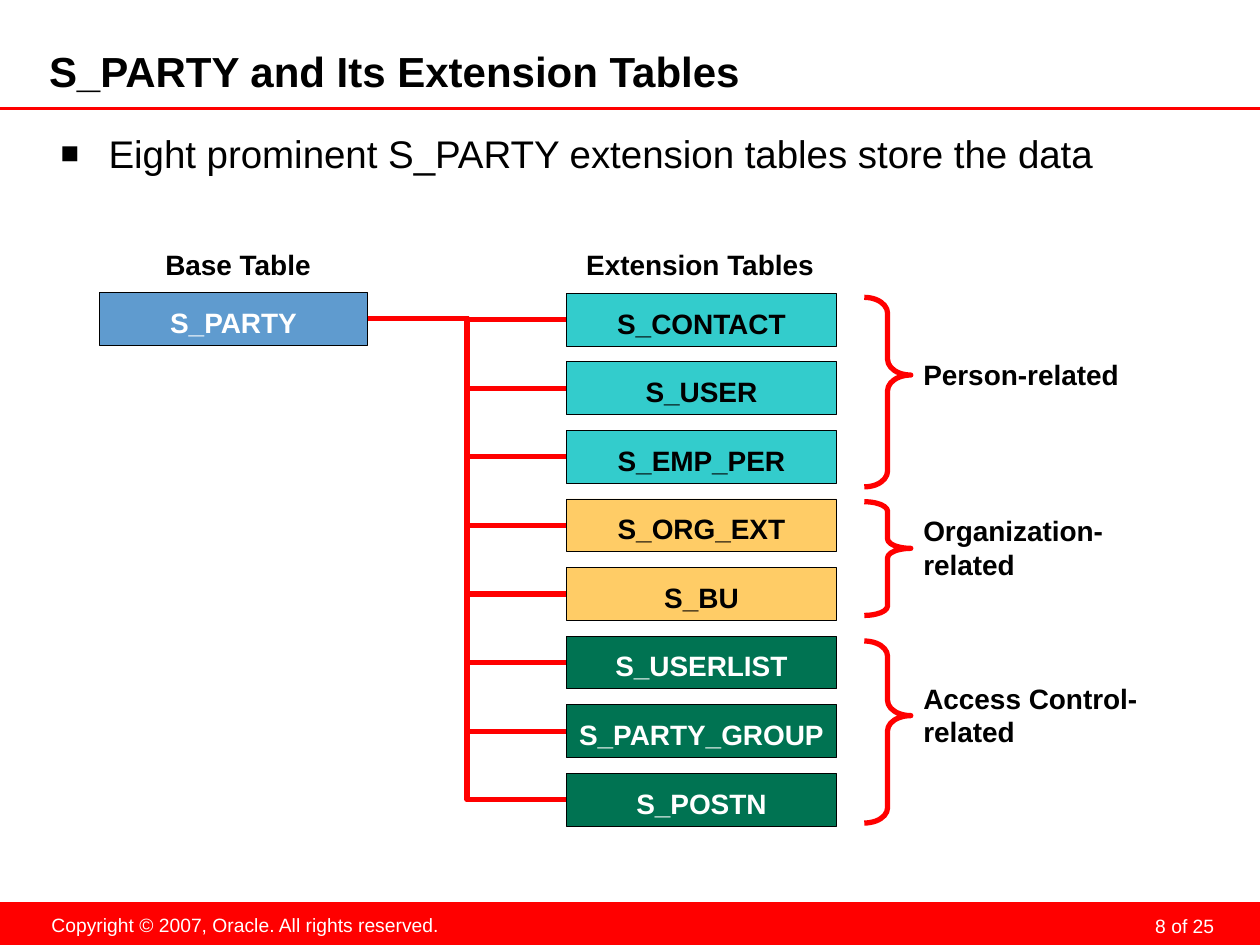
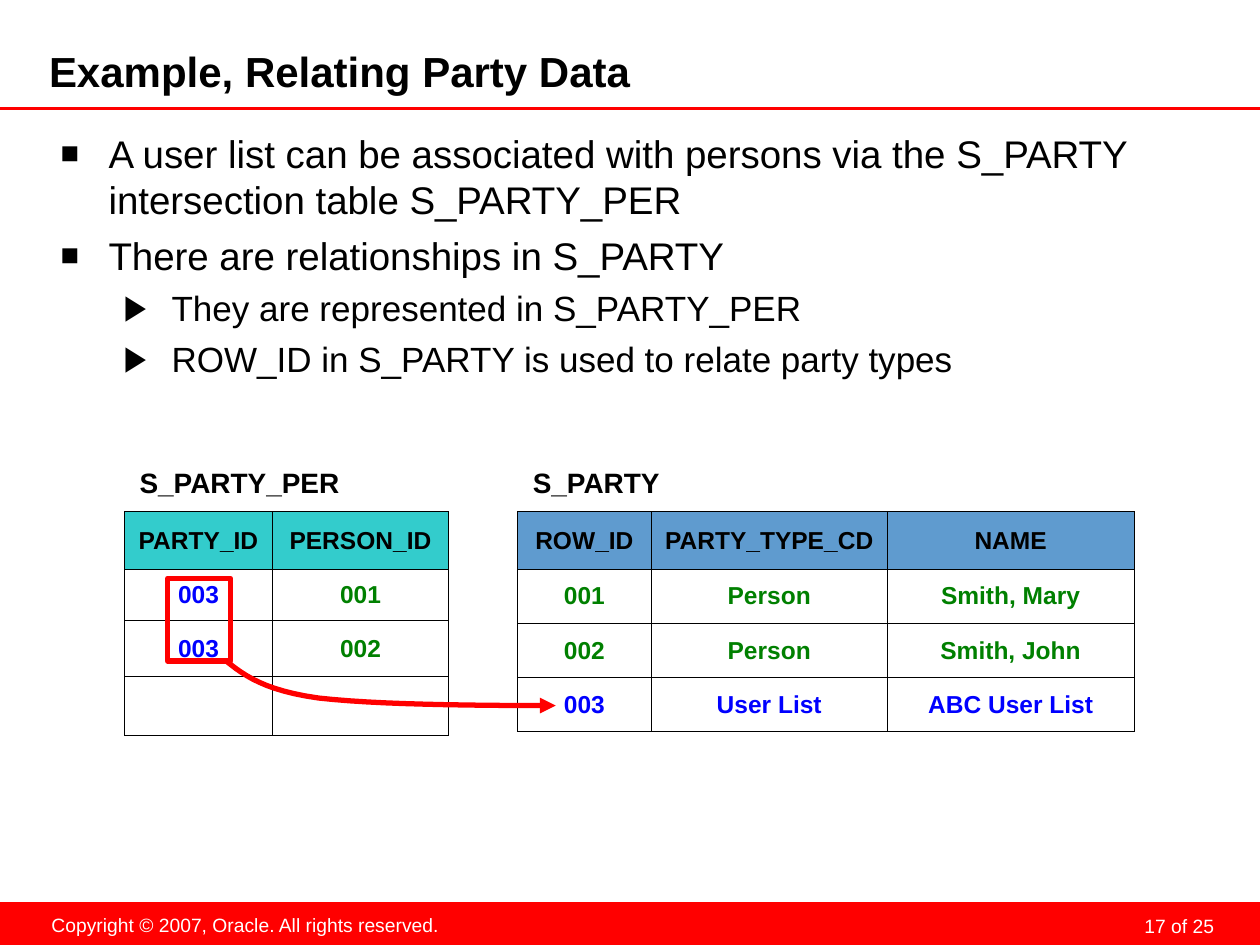
from lxml import etree
from pptx import Presentation
from pptx import util as u
from pptx.dml.color import RGBColor
from pptx.enum import shapes, text
from pptx.oxml.ns import qn

Pt = u.Pt
FONT = "Arial"
RED, BLACK, WHITE = "FF0000", "000000", "FFFFFF"
BLUE, TEAL, AMBER, GREEN = "5F9BCF", "33CCCC", "FFCC66", "007352"
ID_BLUE, PERSON_GREEN = "0000FF", "008000"
LEFT, CENTER, RIGHT = text.PP_ALIGN.LEFT, text.PP_ALIGN.CENTER, text.PP_ALIGN.RIGHT
TOP, MIDDLE, BOTTOM = (text.MSO_ANCHOR.TOP, text.MSO_ANCHOR.MIDDLE,
                       text.MSO_ANCHOR.BOTTOM)
INSETS = (7.2, 3.6, 7.2, 3.6)

# Bullet per level: character, size in percent, left margin, size, space before
BULLETS = [("■", 80, 27.4, 22, 5.5), ("▶", 100, 63.4, 20, 5)]
HANGING = 27.4


def rgb(value):
    return RGBColor.from_string(value)


def child(parent, tag, **attributes):
    return etree.SubElement(parent, qn(tag), attributes)


# Text
def style(para, size, color=BLACK, bold=False, align=LEFT):
    para.alignment = align
    font = para.font
    font.name, font.size, font.bold = FONT, Pt(size), bold
    font.color.rgb = rgb(color)


def set_frame(frame, anchor=TOP, insets=INSETS):
    frame.word_wrap = True
    frame.auto_size = text.MSO_AUTO_SIZE.NONE
    frame.vertical_anchor = anchor
    (frame.margin_left, frame.margin_top,
     frame.margin_right, frame.margin_bottom) = map(Pt, insets)


def place(shape, left, top, width, height):
    shape.left, shape.top, shape.width, shape.height = map(
        Pt, (left, top, width, height))


def add_label(page, words, at, size=16, color=BLACK, bold=True, align=LEFT,
              anchor=TOP, insets=INSETS):
    box = page.shapes.add_textbox(*map(Pt, at))
    set_frame(box.text_frame, anchor, insets)
    para = box.text_frame.paragraphs[0]
    para.text = words
    style(para, size, color, bold, align)
    return para


def add_bullet(para, level):
    char, percent, margin, size, _ = BULLETS[level]
    para.level = level
    props = para._p.get_or_add_pPr()
    props.set("marL", str(Pt(margin)))
    props.set("indent", str(-Pt(HANGING)))
    child(child(props, "a:buClr"), "a:srgbClr", val=BLACK)
    child(props, "a:buSzPct", val=str(percent * 1000))
    child(props, "a:buFont", typeface=FONT)
    child(props, "a:buChar", char=char)
    style(para, size)


# Shapes and lines
def add_preset(page, kind, at, fill=None, line=BLACK, weight=0.5):
    shape = page.shapes.add_shape(kind, *map(Pt, at))
    finish(shape, fill, line, weight)
    return shape


def finish(shape, fill, line, weight):
    shape.shadow.inherit = False
    if fill:
        shape.fill.solid()
        shape.fill.fore_color.rgb = rgb(fill)
    else:
        shape.fill.background()
    if line:
        shape.line.color.rgb = rgb(line)
        shape.line.width = Pt(weight)
    else:
        shape.line.fill.background()


def add_table_box(page, name, at, fill, color):
    box = add_preset(page, shapes.MSO_SHAPE.RECTANGLE, at, fill)
    set_frame(box.text_frame, MIDDLE, (3.6, 7.2, 3.6, 3.6))
    para = box.text_frame.paragraphs[0]
    para.text = name
    style(para, 16, color, True, CENTER)
    return box


def add_line(page, kind, weight, start=(0, 0), end=(0, 0)):
    line = page.shapes.add_connector(kind, *map(Pt, start + end))
    line.line.color.rgb = rgb(RED)
    line.line.width = Pt(weight)
    child(line._element.spPr, "a:effectLst")
    return line


def add_brace(page, top, height, label):
    left, width, tip = 493.9, 26.6, 0.41
    brace = add_preset(page, shapes.MSO_SHAPE.RIGHT_BRACE,
                       (left, top, width, height), line=RED, weight=3)
    brace.adjustments[0] = height / 12 / width
    brace.adjustments[1] = tip
    middle = top + tip * height
    add_label(page, label, (left + width, middle - 23, 154, 45), anchor=MIDDLE)


def bezier(points, steps=12):
    for step in range(1, steps + 1):
        t = step / steps
        weights = ((1 - t) ** 3, 3 * t * (1 - t) ** 2, 3 * t * t * (1 - t), t ** 3)
        yield tuple(Pt(sum(w * p[axis] for w, p in zip(weights, points)))
                    for axis in (0, 1))


def add_curved_arrow(page, points):
    builder = page.shapes.build_freeform(*map(Pt, points[0]), scale=1.0)
    for first in range(0, len(points) - 1, 3):
        builder.add_line_segments(bezier(points[first:first + 4]), close=False)
    arrow = builder.convert_to_shape()
    finish(arrow, None, RED, 3)
    child(arrow.line._get_or_add_ln(), "a:tailEnd", type="triangle")


# Tables
def add_borders(cell):
    props = cell._tc.get_or_add_tcPr()
    for index, side in enumerate(("a:lnL", "a:lnR", "a:lnT", "a:lnB")):
        line = child(props, side, w=str(Pt(0.45)))
        child(child(line, "a:solidFill"), "a:srgbClr", val=BLACK)
        props.insert(index, line)


def add_grid(page, left, top, widths, heights, header_fill, rows, color_of):
    table = page.shapes.add_table(
        len(heights), len(widths), Pt(left), Pt(top),
        Pt(sum(widths)), Pt(sum(heights))).table
    table.first_row = table.horz_banding = False
    for column, width in zip(table.columns, widths):
        column.width = Pt(width)
    for r, (height, row) in enumerate(zip(heights, rows)):
        table.rows[r].height = Pt(height)
        for c, words in enumerate(row):
            cell = table.cell(r, c)
            cell.vertical_anchor = MIDDLE
            para = cell.text_frame.paragraphs[0]
            para.text = words
            style(para, 14, color_of(r, c), True, CENTER)
            if r == 0:
                cell.fill.solid()
                cell.fill.fore_color.rgb = rgb(header_fill)
            else:
                cell.fill.background()
            add_borders(cell)


# Shared page: footer band, title with rule, bullet list
def add_page(deck, title, number, bullets):
    page = deck.slides.add_slide(deck.slide_layouts[1])
    add_preset(page, shapes.MSO_SHAPE.RECTANGLE, (0, 515.5, 720, 24.5), RED, None)
    para = add_label(page, number, (530, 517.7, 167.5, 18), 11, WHITE, False, RIGHT,
                     insets=(3.6, 0, 3.6, 0))
    para.line_spacing = Pt(18)
    add_label(page, "Copyright © 2007, Oracle. All rights reserved.",
              (22.3, 518.4, 250, 21), 11, WHITE, False)
    add_line(page, shapes.MSO_CONNECTOR.STRAIGHT, 1.75, (0, 62), (720, 62))

    heading, body = page.placeholders
    place(heading, 28, 27.4, 567, 29)
    set_frame(heading.text_frame, MIDDLE, (0, 0, 3.6, 3.6))
    heading.text_frame.text = title
    style(heading.text_frame.paragraphs[0], 24, bold=True)

    place(body, 27.4, 67, 670, 442)
    frame = body.text_frame
    set_frame(frame, insets=(7.2, 7.2, 7.2, 3.6))
    for index, (level, words) in enumerate(bullets):
        para = frame.add_paragraph() if index else frame.paragraphs[0]
        para.text = words
        para.space_before = Pt(BULLETS[level][4] if index else 0)
        add_bullet(para, level)
    return page


def add_extension_slide(deck):
    page = add_page(deck, "S_PARTY and Its Extension Tables", "8 of 25",
                    [(0, "Eight prominent S_PARTY extension tables store the data")])
    base = add_table_box(page, "S_PARTY", (56.7, 167.1, 153.5, 30.2), BLUE, WHITE)
    add_label(page, "Base Table", (62, 119, 148, 45), align=CENTER, anchor=BOTTOM)
    add_label(page, "Extension Tables", (326, 119, 148, 45),
              align=CENTER, anchor=BOTTOM)

    # Extension tables by group, each group with its brace
    groups = [
        ("Person-related", TEAL, BLACK, 169.9, 108.3,
         ["S_CONTACT", "S_USER", "S_EMP_PER"]),
        ("Organization-related", AMBER, BLACK, 286.7, 65, ["S_ORG_EXT", "S_BU"]),
        ("Access Control-related", GREEN, WHITE, 366.3, 104,
         ["S_USERLIST", "S_PARTY_GROUP", "S_POSTN"]),
    ]
    first_top, pitch = 167.6, 39.18
    extensions = []
    for label, fill, color, brace_top, brace_height, names in groups:
        for name in names:
            top = first_top + len(extensions) * pitch
            extensions.append(add_table_box(
                page, name, (323.7, top, 154.3, 30.2), fill, color))
        add_brace(page, brace_top, brace_height, label)

    for extension in extensions:
        link = add_line(page, shapes.MSO_CONNECTOR.ELBOW, 3)
        link.begin_connect(base, 3)
        link.end_connect(extension, 1)


def add_example_slide(deck):
    page = add_page(deck, "Example, Relating Party Data", "17 of 25", [
        (0, "A user list can be associated with persons via the S_PARTY "
            "intersection table S_PARTY_PER"),
        (0, "There are relationships in S_PARTY"),
        (1, "They are represented in S_PARTY_PER"),
        (1, "ROW_ID in S_PARTY is used to relate party types"),
    ])
    # Intersection table and party table
    add_grid(page, 71.2, 292.4, [84.5, 100.7], [33, 29.2, 32, 33.7], TEAL,
             [["PARTY_ID", "PERSON_ID"], ["003", "001"], ["003", "002"], ["", ""]],
             lambda r, c: BLACK if r == 0 else (ID_BLUE, PERSON_GREEN)[c])
    add_grid(page, 295.7, 292.4, [76.5, 134.8, 141.1], [33, 30.9, 30.9, 30.9], BLUE,
             [["ROW_ID", "PARTY_TYPE_CD", "NAME"],
              ["001", "Person", "Smith, Mary"],
              ["002", "Person", "Smith, John"],
              ["003", "User List", "ABC User List"]],
             lambda r, c: (BLACK, PERSON_GREEN, PERSON_GREEN, ID_BLUE)[r])
    for name, left in (("S_PARTY_PER", 72.7), ("S_PARTY", 297.4)):
        add_label(page, name, (left, 262.5, 132, 27))

    # Marked party ids lead to their row
    add_preset(page, shapes.MSO_SHAPE.RECTANGLE, (95.8, 330.5, 36, 47.3),
               line=RED, weight=3)
    add_curved_arrow(page, [(129.6, 378), (139.7, 386), (151.2, 394.6), (182.2, 398.9),
                            (213.8, 402.5), (265.7, 403.2), (317.6, 403.2)])


def main():
    deck = Presentation()
    deck.slide_width, deck.slide_height = Pt(720), Pt(540)
    add_extension_slide(deck)
    add_example_slide(deck)
    deck.save("out.pptx")


if __name__ == "__main__":
    main()
